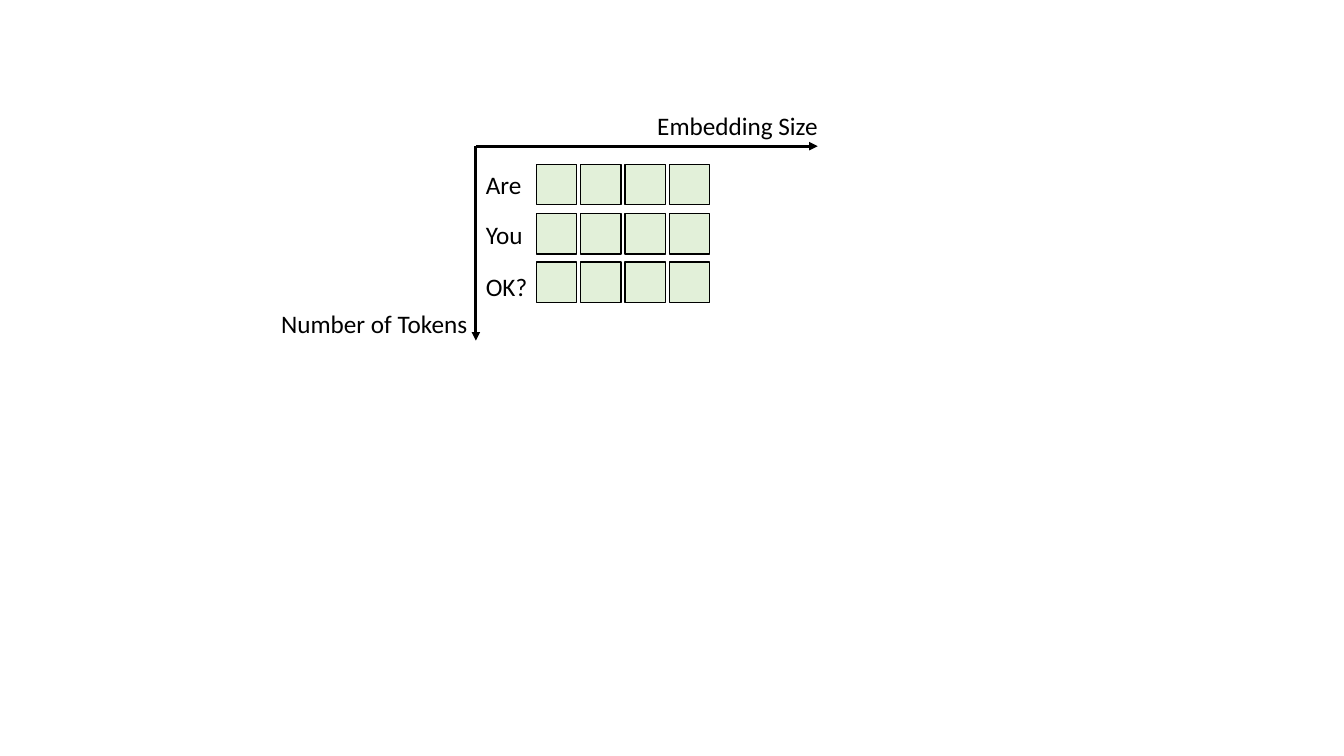
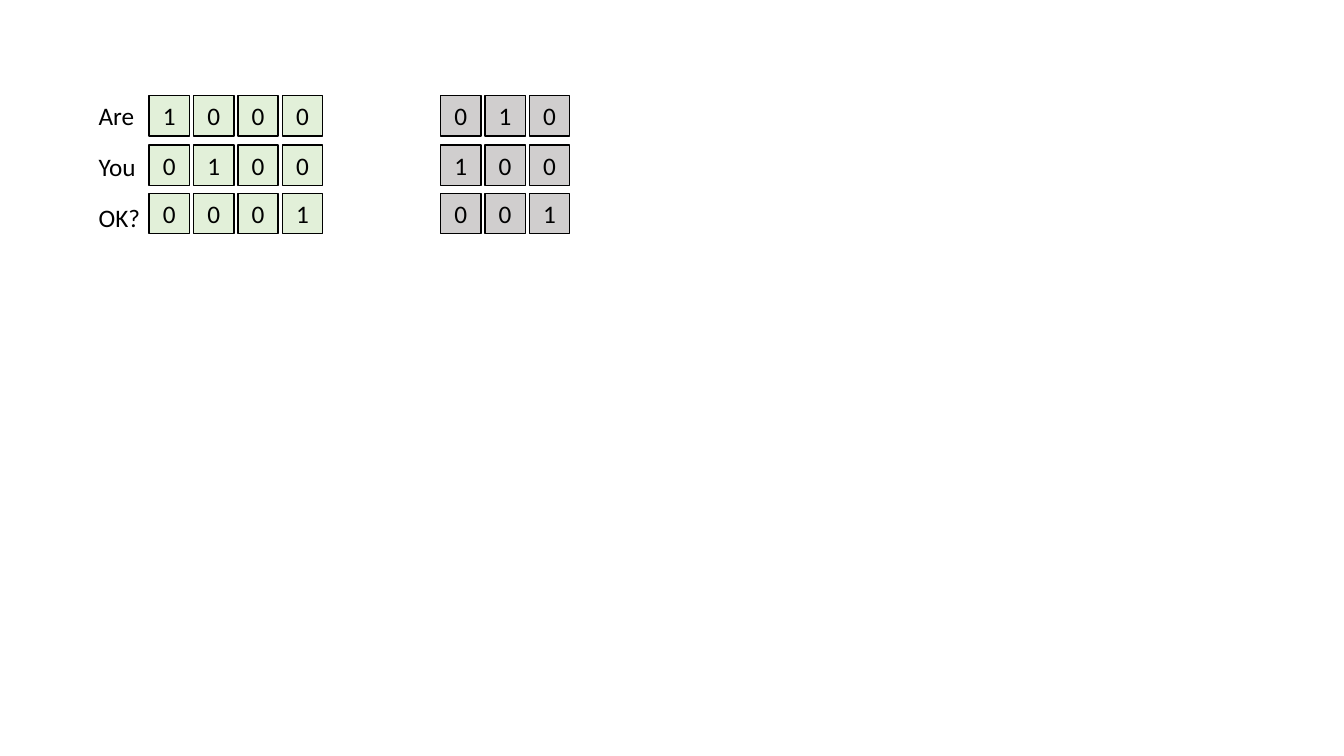
import dataclasses

import pptx
import pptx.dml.color
import pptx.enum.shapes
import pptx.enum.text
import pptx.oxml.ns
import pptx.util
from lxml import etree

PX = 9144
RGB = pptx.dml.color.RGBColor.from_string
ALIGN = pptx.enum.text.PP_ALIGN
ANCHOR = pptx.enum.text.MSO_ANCHOR
AUTO_SIZE = pptx.enum.text.MSO_AUTO_SIZE


@dataclasses.dataclass(frozen=True)
class Theme:
    ink: str = "000000"
    embedding: str = "E2F0D9"
    position: str = "D0CECE"
    font: str = "Calibri"
    text_size: int = 18
    cell_line: int = 1
    axis_line: int = 2


theme = Theme()
CELL = 40
COLUMN_PITCH = 44
TOKENS = ["Are", "You", "OK?"]
TOKEN_WIDTH = 62
TOKEN_OFFSET = 60


def write_text(shape, text, align=None, **frame_format):
    for attribute, value in frame_format.items():
        setattr(shape.text_frame, attribute, value)
    paragraph = shape.text_frame.paragraphs[0]
    paragraph.alignment = align
    run = paragraph.add_run()
    run.text = text
    font_format = {"name": theme.font, "size": pptx.util.Pt(theme.text_size)}
    for attribute, value in font_format.items():
        setattr(run.font, attribute, value)
    run.font.color.rgb = RGB(theme.ink)


def add_matrix(group, left, top, rows, fill, tokens=()):
    for row, digits in enumerate(rows):
        for column, digit in enumerate(digits):
            cell = group.shapes.add_shape(
                pptx.enum.shapes.MSO_SHAPE.RECTANGLE,
                (left + column * COLUMN_PITCH) * PX,
                (top + (97 * row + 1) // 2) * PX,
                CELL * PX, CELL * PX)
            cell.shadow.inherit = False
            cell.fill.solid()
            cell.fill.fore_color.rgb = RGB(fill)
            cell.line.color.rgb = RGB(theme.ink)
            cell.line.width = pptx.util.Pt(theme.cell_line)
            if digit:
                write_text(cell, digit, ALIGN.CENTER, vertical_anchor=ANCHOR.MIDDLE)
    for row, token in enumerate(tokens):
        label = group.shapes.add_textbox(
            (left - TOKEN_OFFSET) * PX, (top + 101 * row // 2) * PX,
            TOKEN_WIDTH * PX, CELL * PX)
        write_text(label, token, word_wrap=True, auto_size=AUTO_SIZE.SHAPE_TO_FIT_TEXT)


deck = pptx.Presentation()
deck.slide_width = 1333 * PX
deck.slide_height = 750 * PX
blank = deck.slide_layouts[6]

shape_slide = deck.slides.add_slide(blank)
embedding = shape_slide.shapes.add_group_shape()
add_matrix(embedding, 532, 163, [[""] * 4] * 3, theme.embedding, TOKENS)

origin_x, origin_y = 472, 145
for end_x, end_y in [(811, origin_y), (origin_x, 338)]:
    axis = embedding.shapes.add_connector(
        pptx.enum.shapes.MSO_CONNECTOR.STRAIGHT,
        origin_x * PX, origin_y * PX, end_x * PX, end_y * PX)
    axis.line.color.rgb = RGB(theme.ink)
    axis.line.width = pptx.util.Pt(theme.axis_line)
    etree.SubElement(axis.line._get_or_add_ln(), pptx.oxml.ns.qn("a:tailEnd"), type="triangle")
    etree.SubElement(axis._element.spPr, pptx.oxml.ns.qn("a:effectLst"))

for caption, left, top, width in [
    ("Embedding Size", 642, 105, 181),
    ("Number of Tokens", 269, 301, 207),
]:
    axis_title = embedding.shapes.add_textbox(left * PX, top * PX, width * PX, CELL * PX)
    write_text(axis_title, caption, word_wrap=False, auto_size=AUTO_SIZE.SHAPE_TO_FIT_TEXT)

value_slide = deck.slides.add_slide(blank)
for left, rows, fill, tokens in [
    (148, ["1000", "0100", "0001"], theme.embedding, TOKENS),
    (437, ["010", "100", "001"], theme.position, []),
]:
    add_matrix(value_slide.shapes.add_group_shape(), left, 95, rows, fill, tokens)

deck.save("out.pptx")
